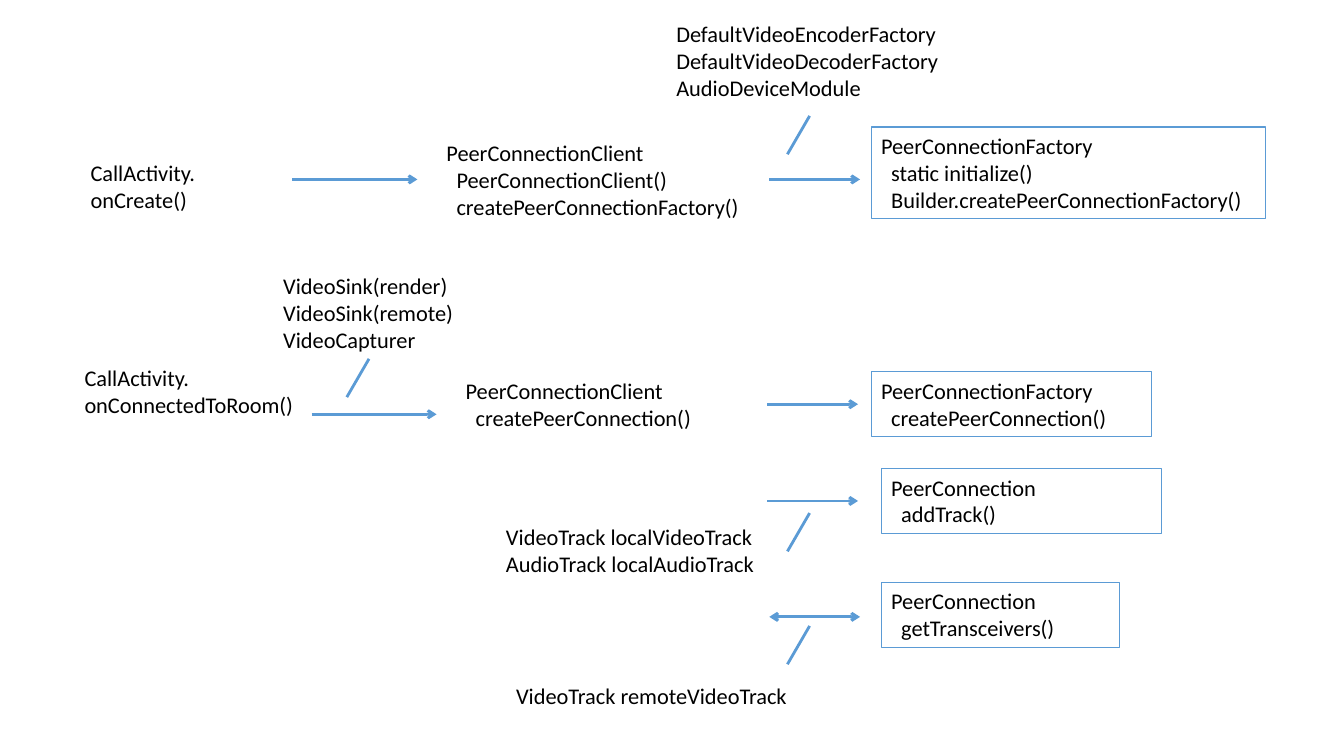
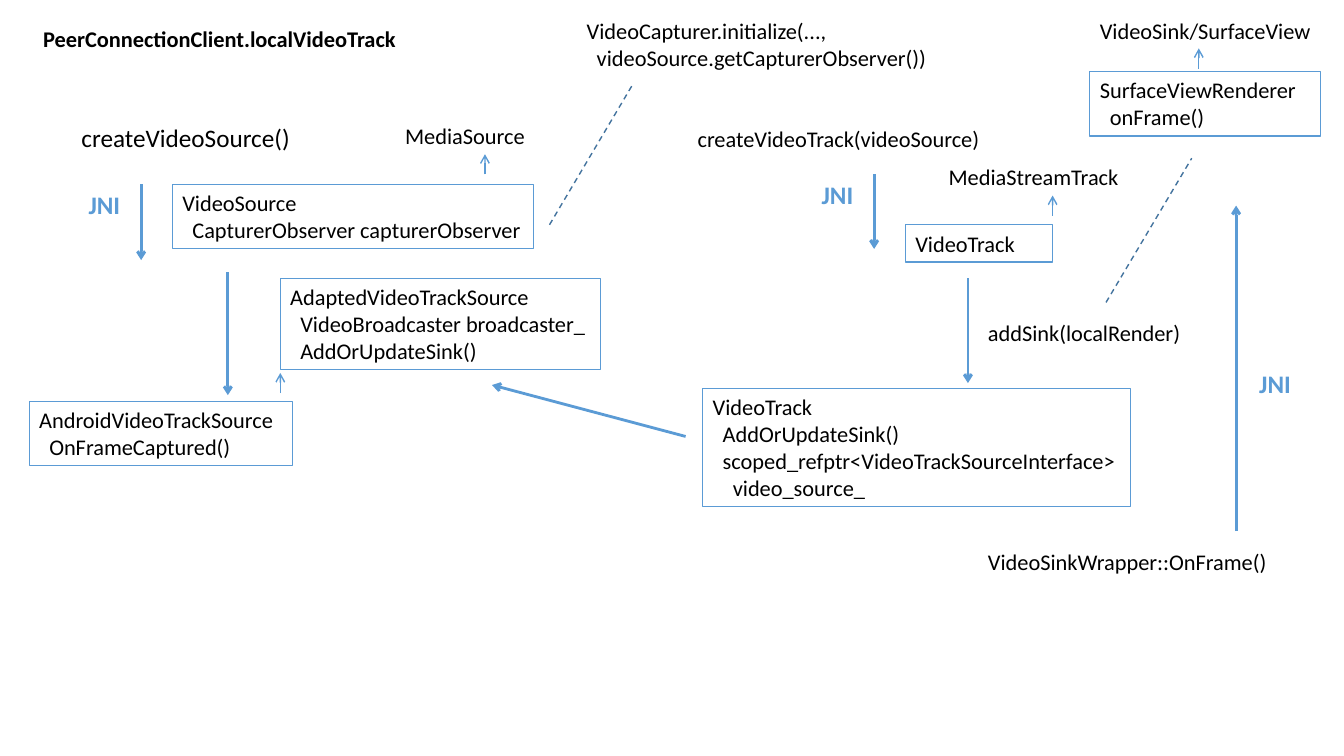
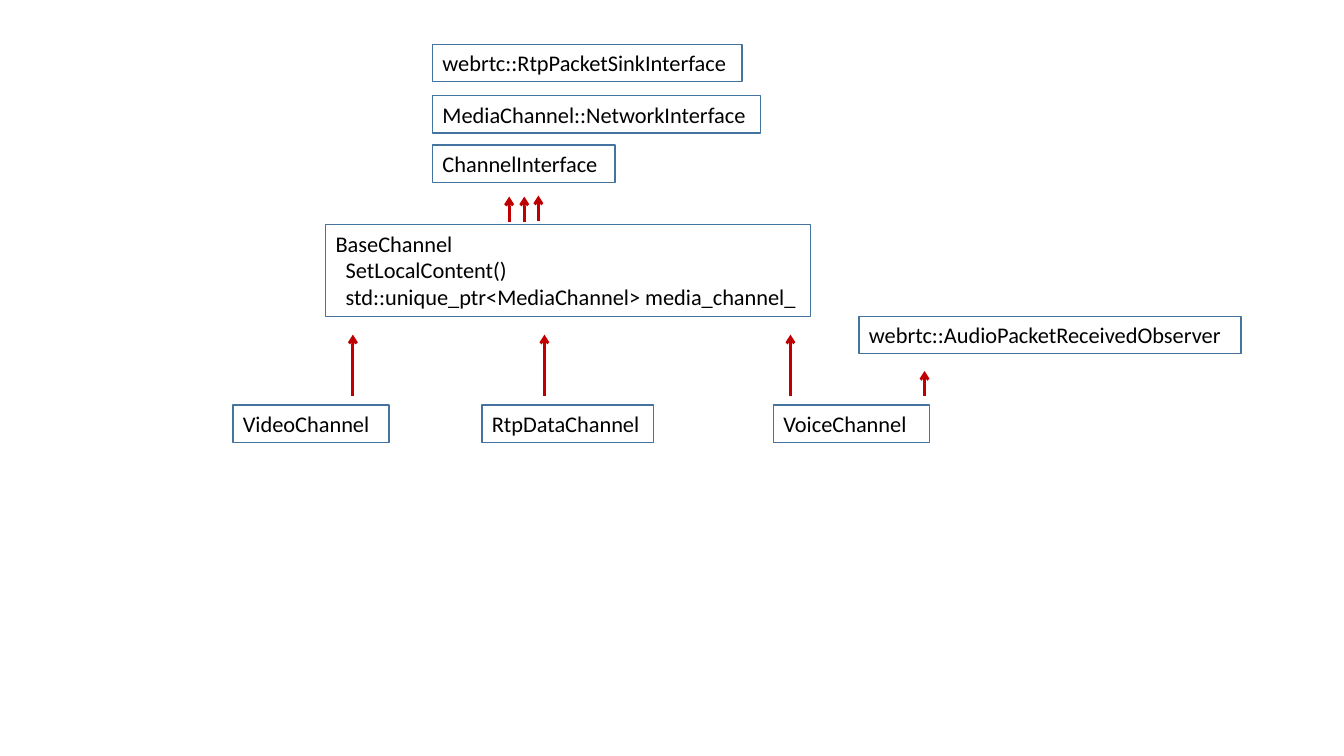
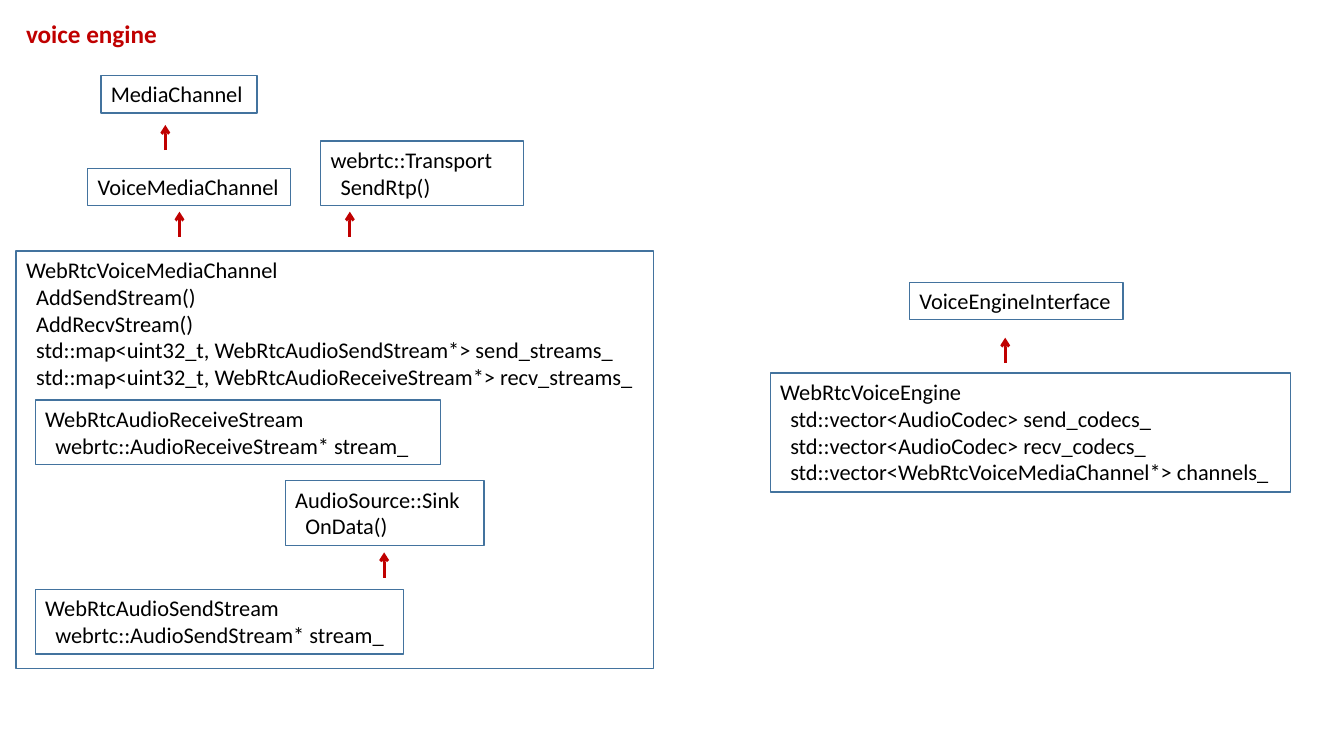
from dataclasses import dataclass

from lxml.etree import SubElement
from pptx import Presentation
from pptx.dml.color import RGBColor as Rgb
from pptx.enum.dml import MSO_LINE as Dash
from pptx.enum.shapes import MSO_CONNECTOR as Conn, MSO_SHAPE as Kind
from pptx.enum.text import MSO_ANCHOR as Anchor, MSO_AUTO_SIZE as Auto, PP_ALIGN as Align
from pptx.oxml.ns import qn
from pptx.slide import Slide
from pptx.text.text import TextFrame
from pptx.util import Emu, Pt

PX = 9144  # EMU in one px, 100 px to the inch


@dataclass(frozen=True)
class Pen:
    color: str
    width: float
    dash: bool = False


@dataclass(frozen=True)
class Type:
    size: int
    color: str
    bold: bool = False
    row: int = 27  # line height in px


@dataclass(frozen=True)
class Theme:
    font: str = "Calibri"
    pad: int = 10  # top and bottom margin of a text block together
    step: int = 5  # indent of one leading space
    body: Type = Type(16, "000000")
    head: Type = Type(16, "000000", True)
    large: Type = Type(18, "000000", row=30)
    tag: Type = Type(18, "5B9BD5", True, 30)
    title: Type = Type(18, "C00000", True, 30)
    frame: Pen = Pen("5B9BD5", 0.75)
    flow: Pen = Pen("5B9BD5", 2)
    thin: Pen = Pen("5B9BD5", 1)
    dots: Pen = Pen("43739E", 1, True)
    edge: Pen = Pen("43739E", 1)
    base: Pen = Pen("C00000", 2)


THEME = Theme()


@dataclass(frozen=True)
class Label:
    x: int
    y: int
    w: int
    text: str
    type: Type = THEME.body


@dataclass(frozen=True)
class Box:
    x: int
    y: int
    w: int
    text: str
    h: int = 0  # 0 fits the text


@dataclass(frozen=True)
class Link:
    x: int
    y: int
    dx: int
    dy: int
    pen: Pen = THEME.flow
    head: bool = False
    tail: bool = True


@dataclass(frozen=True)
class Page:
    frame: Pen
    boxes: list[Box]
    labels: list[Label]
    links: list[Link]


# Kinds of link
def slash(x: int, y: int) -> Link:
    """A stroke that ties a note to an arrow."""
    return Link(x, y, 22, -38, tail=False)


def rise(x: int, y: int) -> Link:
    """A thin arrow up to a base type."""
    return Link(x, y, 0, -20, THEME.thin)


def base(x: int, y: int, size: int = 25) -> Link:
    """A red arrow up to a base class."""
    return Link(x, y, 0, -size, THEME.base)


def dotted(x: int, y: int, dx: int, dy: int) -> Link:
    return Link(x, y, dx, dy, THEME.dots, tail=False)


# Drawing
def height(text: str, kind: Type) -> int:
    return THEME.pad + kind.row * len(text.split("\n"))


def write(frame: TextFrame, text: str, kind: Type) -> None:
    rows = text.split("\n")
    frame.text = "\n".join(row.lstrip() for row in rows)
    frame.auto_size = Auto.NONE
    frame.word_wrap = True
    frame.vertical_anchor = Anchor.TOP
    for row, para in zip(rows, frame.paragraphs):
        para.alignment = Align.LEFT
        depth = len(row) - len(row.lstrip())
        if depth:
            para._p.get_or_add_pPr().set("marL", str(depth * THEME.step * PX))
        for run in para.runs:
            font = run.font
            font.name, font.size, font.bold = THEME.font, Pt(kind.size), kind.bold
            font.color.rgb = Rgb.from_string(kind.color)


def place(x: int, y: int, w: int, h: int) -> list[Emu]:
    return [Emu(n * PX) for n in (x, y, w, h)]


def add_label(slide: Slide, label: Label) -> None:
    high = height(label.text, label.type)
    shape = slide.shapes.add_textbox(*place(label.x, label.y, label.w, high))
    write(shape.text_frame, label.text, label.type)


def add_box(slide: Slide, box: Box, pen: Pen) -> None:
    high = box.h or height(box.text, THEME.body)
    shape = slide.shapes.add_shape(Kind.RECTANGLE, *place(box.x, box.y, box.w, high))
    shape.shadow.inherit = False
    shape.fill.background()
    shape.line.color.rgb = Rgb.from_string(pen.color)
    shape.line.width = Pt(pen.width)
    write(shape.text_frame, box.text, THEME.body)


def add_link(slide: Slide, link: Link) -> None:
    ends = place(link.x, link.y, link.x + link.dx, link.y + link.dy)
    wire = slide.shapes.add_connector(Conn.STRAIGHT, *ends)
    line = wire.line
    line.color.rgb = Rgb.from_string(link.pen.color)
    line.width = Pt(link.pen.width)
    if link.pen.dash:
        line.dash_style = Dash.DASH
    # Arrowheads, then no shadow
    props = wire._element.spPr
    for name, shown in (("a:headEnd", link.head), ("a:tailEnd", link.tail)):
        if shown:
            SubElement(props.find(qn("a:ln")), qn(name), type="arrow")
    SubElement(props, qn("a:effectLst"))


# Slide 1: calls that set up a peer link
CALLS = Page(
    THEME.frame,
    boxes=[
        Box(864, 126, 391, "PeerConnectionFactory\n  static initialize()\n"
                           "  Builder.createPeerConnectionFactory()"),
        Box(864, 369, 278, "PeerConnectionFactory\n  createPeerConnection()"),
        Box(874, 465, 278, "PeerConnection\n  addTrack()"),
        Box(874, 578, 236, "PeerConnection\n  getTransceivers()"),
    ],
    labels=[
        Label(433, 133, 314, "PeerConnectionClient\n  PeerConnectionClient()\n"
                             "  createPeerConnectionFactory()"),
        Label(661, 15, 290, "DefaultVideoEncoderFactory\nDefaultVideoDecoderFactory\n"
                            "AudioDeviceModule"),
        Label(80, 153, 127, "CallActivity.\nonCreate()"),
        Label(74, 356, 234, "CallActivity.\nonConnectedToRoom()"),
        Label(452, 369, 247, "PeerConnectionClient\n  createPeerConnection()"),
        Label(271, 265, 191, "VideoSink(render)\nVideoSink(remote)\nVideoCapturer"),
        Label(492, 514, 271, "VideoTrack localVideoTrack\nAudioTrack localAudioTrack"),
        Label(502, 672, 294, "VideoTrack remoteVideoTrack"),
    ],
    links=[
        Link(290, 178, 124, 0),
        Link(309, 411, 124, 0),
        Link(763, 178, 90, 0),
        Link(761, 401, 90, 0),
        Link(761, 497, 90, 0),
        Link(763, 612, 90, 0, head=True),
        slash(344, 394),
        *(slash(781, y) for y in (153, 547, 659)),
    ],
)

# Slide 2: the local video track
TRACK = Page(
    THEME.frame,
    boxes=[
        Box(29, 398, 261, "AndroidVideoTrackSource\n  OnFrameCaptured()"),
        Box(171, 183, 358, "VideoSource\n  CapturerObserver capturerObserver"),
        Box(278, 276, 318, "AdaptedVideoTrackSource\n  VideoBroadcaster broadcaster_\n"
                           "  AddOrUpdateSink()"),
        Box(898, 223, 146, "VideoTrack"),
        Box(697, 385, 424, "VideoTrack\n  AddOrUpdateSink()\n"
                           "  scoped_refptr<VideoTrackSourceInterface>\n    video_source_"),
        Box(1081, 71, 229, "SurfaceViewRenderer\n  onFrame()"),
    ],
    labels=[
        Label(33, 20, 382, "PeerConnectionClient.localVideoTrack", THEME.head),
        Label(71, 116, 232, "createVideoSource()", THEME.large),
        Label(572, 12, 359, "VideoCapturer.initialize(...,\n"
                            "  videoSource.getCapturerObserver())"),
        Label(682, 119, 309, "createVideoTrack(videoSource)"),
        Label(970, 312, 219, "addSink(localRender)"),
        Label(392, 116, 151, "MediaSource"),
        Label(931, 157, 191, "MediaStreamTrack"),
        Label(1081, 12, 241, "VideoSink/SurfaceView"),
        Label(970, 539, 301, "VideoSinkWrapper::OnFrame()"),
        *(Label(x, y, 62, "JNI", THEME.tag)
          for x, y in ((78, 183), (805, 173), (1239, 360))),
    ],
    links=[
        Link(680, 433, -192, -51),
        Link(140, 183, 0, 75),
        Link(226, 270, 0, 122),
        Link(867, 173, 0, 74),
        Link(960, 276, 0, 104),
        Link(1226, 527, 0, -323),
        rise(481, 173),
        rise(278, 390),
        rise(1044, 214),
        rise(1189, 68),
        dotted(545, 223, 83, -140),
        dotted(1097, 300, 85, -143),
    ],
)

# Slide 3: channel classes
CHANNELS = Page(
    THEME.edge,
    boxes=[
        Box(429, 44, 307, "webrtc::RtpPacketSinkInterface"),
        Box(429, 95, 325, "MediaChannel::NetworkInterface"),
        Box(429, 144, 181, "ChannelInterface"),
        Box(323, 223, 481, "BaseChannel\n  SetLocalContent()\n"
                           "  std::unique_ptr<MediaChannel> media_channel_"),
        Box(852, 314, 379, "webrtc::AudioPacketReceivedObserver"),
        Box(231, 402, 155, "VideoChannel"),
        Box(478, 402, 170, "RtpDataChannel"),
        Box(767, 402, 155, "VoiceChannel"),
    ],
    labels=[],
    links=[
        base(505, 220),
        base(520, 220),
        base(534, 219),
        base(917, 393),
        *(base(x, 393, 61) for x in (350, 540, 784)),
    ],
)

# Slide 4: voice engine classes
VOICE = Page(
    THEME.edge,
    boxes=[
        Box(16, 249, 632, "WebRtcVoiceMediaChannel\n  AddSendStream()\n  AddRecvStream()\n"
                          "  std::map<uint32_t, WebRtcAudioSendStream*> send_streams_\n"
                          "  std::map<uint32_t, WebRtcAudioReceiveStream*> recv_streams_", 414),
        Box(87, 167, 201, "VoiceMediaChannel"),
        Box(318, 140, 201, "webrtc::Transport\n  SendRtp()"),
        Box(100, 75, 155, "MediaChannel"),
        Box(764, 370, 516, "WebRtcVoiceEngine\n  std::vector<AudioCodec> send_codecs_\n"
                           "  std::vector<AudioCodec> recv_codecs_\n"
                           "  std::vector<WebRtcVoiceMediaChannel*> channels_"),
        Box(902, 280, 212, "VoiceEngineInterface"),
        Box(35, 397, 402, "WebRtcAudioReceiveStream\n  webrtc::AudioReceiveStream* stream_"),
        Box(35, 585, 365, "WebRtcAudioSendStream\n  webrtc::AudioSendStream* stream_"),
        Box(283, 477, 197, "AudioSource::Sink\n  OnData()"),
    ],
    labels=[Label(16, 13, 151, "voice engine", THEME.title)],
    links=[base(x, y) for x, y in
           ((178, 235), (347, 235), (164, 149), (997, 360), (381, 573))],
)


def main() -> None:
    deck = Presentation()
    deck.slide_width, deck.slide_height = Emu(1333 * PX), Emu(750 * PX)
    for page in (CALLS, TRACK, CHANNELS, VOICE):
        slide = deck.slides.add_slide(deck.slide_layouts[6])
        for box in page.boxes:
            add_box(slide, box, page.frame)
        for label in page.labels:
            add_label(slide, label)
        for link in page.links:
            add_link(slide, link)
    deck.save("out.pptx")


if __name__ == "__main__":
    main()
